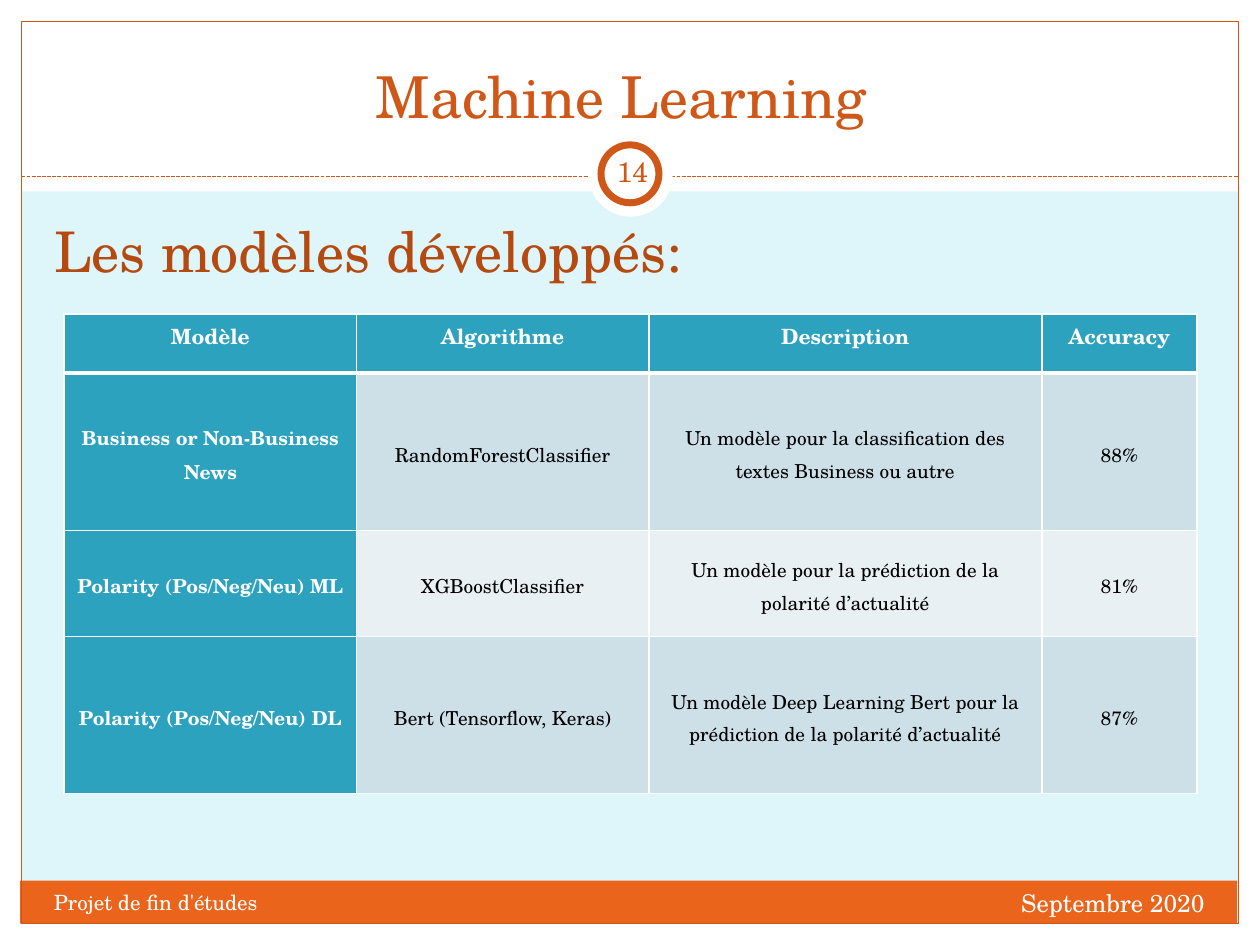
from pptx import Presentation
from pptx.dml.color import RGBColor
from pptx.enum.dml import MSO_LINE
from pptx.enum.shapes import MSO_CONNECTOR, MSO_SHAPE
from pptx.enum.text import MSO_ANCHOR, MSO_AUTO_SIZE, PP_ALIGN
from pptx.oxml.ns import qn
from pptx.util import Inches, Pt
from lxml import etree

RECT, OVAL = MSO_SHAPE.RECTANGLE, MSO_SHAPE.OVAL
LEFT, CENTER, RIGHT = PP_ALIGN.LEFT, PP_ALIGN.CENTER, PP_ALIGN.RIGHT
TOP, MIDDLE, BOTTOM = MSO_ANCHOR.TOP, MSO_ANCHOR.MIDDLE, MSO_ANCHOR.BOTTOM

WHITE = RGBColor(0xFF, 0xFF, 0xFF)
BLACK = RGBColor(0x00, 0x00, 0x00)
SKY = RGBColor(0xDE, 0xF5, 0xFA)
ORANGE = RGBColor(0xEB, 0x64, 0x1B)
RUST = RGBColor(0xCF, 0x58, 0x18)
BROWN = RGBColor(0xB5, 0x4A, 0x10)
TEAL = RGBColor(0x2D, 0xA2, 0xBF)
BANDS = (RGBColor(0xCD, 0xE0, 0xE8), RGBColor(0xE8, 0xF0, 0xF4))

MODELS = [
    ("Modèle", "Algorithme", "Description", "Accuracy"),
    ("Business or Non-Business News", "RandomForestClassifier",
     "Un modèle pour la classification des textes Business ou autre", "88%"),
    ("Polarity (Pos/Neg/Neu) ML", "XGBoostClassifier",
     "Un modèle pour la prédiction de la polarité d’actualité", "81%"),
    ("Polarity (Pos/Neg/Neu) DL", "Bert (Tensorflow, Keras)",
     "Un modèle Deep Learning Bert pour la prédiction de la polarité d’actualité", "87%"),
]


class Deck:
    font = "TeX Gyre Schola"

    def __init__(self, prs):
        self.s = prs.slides.add_slide(prs.slide_layouts[1])
        fill = self.s.background.fill
        fill.solid()
        fill.fore_color.rgb = SKY

    def set_text(self, tf, text, size, color, align=LEFT, bold=False):
        tf.text = text
        p = tf.paragraphs[0]
        p.alignment = align
        p.space_before = Pt(0)
        for r in p.runs:
            r.font.name = self.font
            r.font.size = Pt(size)
            r.font.bold = bold
            r.font.color.rgb = color
        return p

    def shape(self, kind, box, fill=None, line=None, width=0.75):
        sp = self.s.shapes.add_shape(kind, *map(Inches, box))
        sp.shadow.inherit = False
        if fill is None:
            sp.fill.background()
        else:
            sp.fill.solid()
            sp.fill.fore_color.rgb = fill
        if line is None:
            sp.line.fill.background()
        else:
            sp.line.color.rgb = line
            sp.line.width = Pt(width)

    def dashed_line(self, x1, y1, x2, y2, color):
        c = self.s.shapes.add_connector(MSO_CONNECTOR.STRAIGHT, *map(Inches, (x1, y1, x2, y2)))
        c.line.color.rgb = color
        c.line.width = Pt(0.75)
        c.line.dash_style = MSO_LINE.SQUARE_DOT
        etree.SubElement(c.element.spPr, qn("a:effectLst"))

    def placeholder(self, index, box, text, size, color, align, anchor):
        sp = self.s.placeholders[index]
        sp.left, sp.top, sp.width, sp.height = map(Inches, box)
        sp.element.getparent().append(sp.element)  # bring in front of the panels
        tf = sp.text_frame
        tf.auto_size = MSO_AUTO_SIZE.NONE
        tf.vertical_anchor = anchor
        p = self.set_text(tf, text, size, color, align)
        pPr = p._p.get_or_add_pPr()
        pPr.set("marL", "0")
        pPr.set("indent", "0")
        etree.SubElement(pPr, qn("a:buNone"))

    def text(self, box, text, size, color, align=LEFT, anchor=TOP, inset=None):
        tf = self.s.shapes.add_textbox(*map(Inches, box)).text_frame
        tf.word_wrap = True
        tf.vertical_anchor = anchor
        if inset is not None:
            tf.margin_left = tf.margin_right = tf.margin_top = tf.margin_bottom = Inches(inset)
        self.set_text(tf, text, size, color, align)

    def borders(self, cell, **widths):
        tcPr = cell._tc.get_or_add_tcPr()
        for side in "LRTB":
            ln = etree.SubElement(tcPr, qn("a:ln" + side), w=str(Pt(widths.get(side, 1))))
            fill = etree.SubElement(ln, qn("a:solidFill"))
            etree.SubElement(fill, qn("a:srgbClr"), val=str(WHITE))

    def table(self, box, rows, widths, heights):
        table = self.s.shapes.add_table(len(rows), len(widths), *map(Inches, box)).table
        for column, width in zip(table.columns, widths):
            column.width = Inches(width)
        for i, (row, height) in enumerate(zip(rows, heights)):
            table.rows[i].height = Inches(height)
            for j, text in enumerate(row):
                cell = table.cell(i, j)
                header = i == 0
                label = header or j == 0
                # Thick rule between the header and the first model
                self.borders(cell, **({"B": 3} if header else {"T": 3} if i == 1 else {}))
                cell.fill.solid()
                cell.fill.fore_color.rgb = TEAL if label else BANDS[(i - 1) % 2]
                cell.margin_left = cell.margin_right = Inches(0.07)
                cell.margin_top, cell.margin_bottom = Inches(0.01), 0
                cell.vertical_anchor = TOP if header else MIDDLE
                p = self.set_text(cell.text_frame, text, 12 if header else 11,
                                  WHITE if label else BLACK, CENTER, label)
                p.line_spacing = 1.15


def main():
    prs = Presentation()
    prs.slide_width, prs.slide_height = Inches(10), Inches(7.5)
    deck = Deck(prs)

    # White margins and header band
    for box in ((0, 7.33, 10, 0.17), (0, 0, 10, 1.52), (0, 0, 0.17, 7.5), (9.83, 0, 0.17, 7.5)):
        deck.shape(RECT, box, WHITE)

    # Footer bar, frame and header rule
    deck.shape(RECT, (0.16, 6.99, 9.66, 0.34), ORANGE)
    deck.shape(RECT, (0.17, 0.17, 9.66, 7.16), line=RUST)
    deck.dashed_line(0.17, 1.4, 9.83, 1.4, RUST)

    # Slide number badge
    deck.shape(OVAL, (4.67, 1.05, 0.67, 0.67), WHITE)
    deck.shape(OVAL, (4.77, 1.15, 0.46, 0.46), WHITE, RUST, 4)
    deck.text((4.77, 1.12, 0.5, 0.48), "14", 16, RUST, CENTER, MIDDLE, 0.05)

    # Title and heading
    deck.placeholder(0, (0.33, 0.25, 9.33, 0.83), "Machine Learning ", 33, RUST, CENTER, BOTTOM)
    deck.placeholder(1, (0.33, 1.67, 9.3, 5), "Les modèles développés:", 32, BROWN, LEFT, TOP)

    # Footer texts
    deck.text((6.33, 7, 3.33, 0.4), "Septembre 2020", 14, WHITE, RIGHT)
    deck.text((0.33, 7.01, 3.92, 0.4), "Projet de fin d'études", 12, WHITE)

    # Models table
    deck.table((0.51, 2.49, 8.98, 3.8), MODELS, (2.32, 2.32, 3.12, 1.23), (0.47, 1.25, 0.84, 1.25))

    prs.save("out.pptx")


if __name__ == "__main__":
    main()
